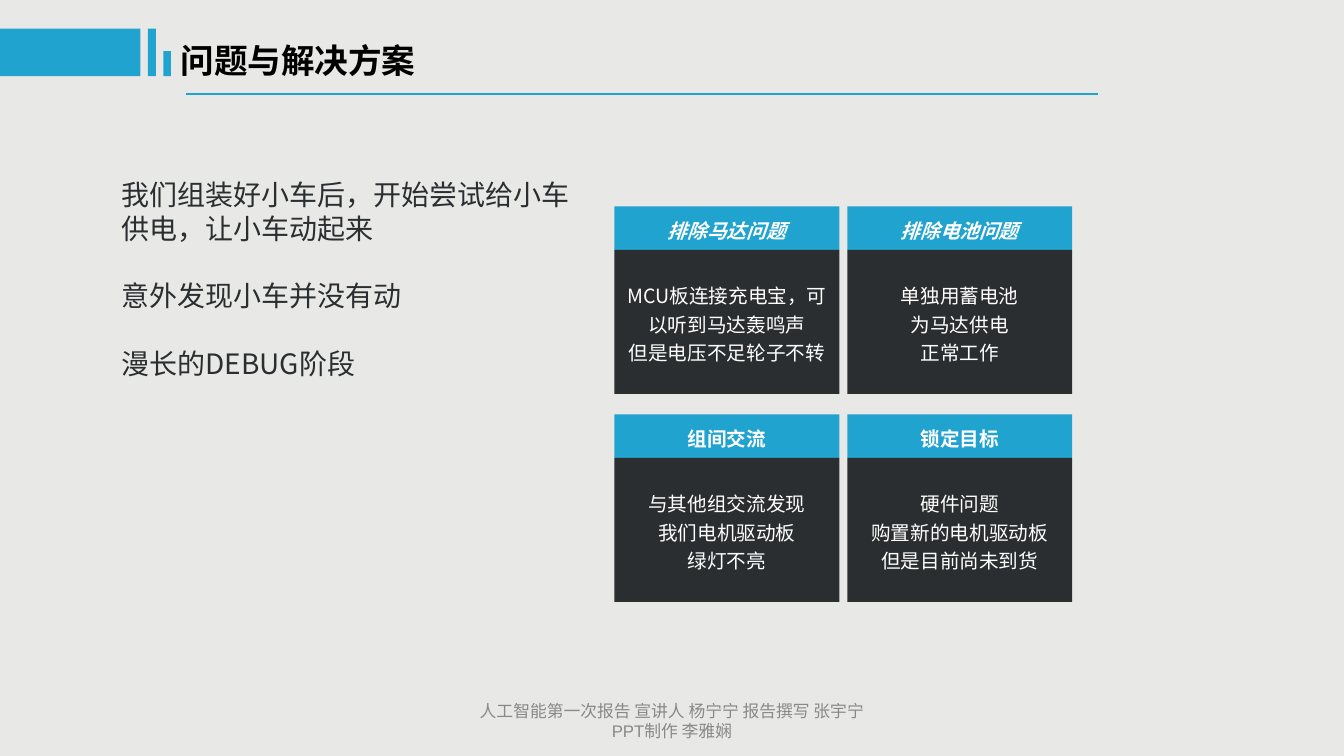
from dataclasses import dataclass

from lxml import etree
from pptx import Presentation
from pptx.dml.color import RGBColor
from pptx.enum import shapes, text
from pptx.oxml import ns
from pptx.util import Cm, Pt


@dataclass(frozen=True)
class Theme:
    background: str = "E8E8E6"
    accent: str = "21A3D0"
    dark: str = "2B2E30"
    light: str = "FFFFFF"
    black: str = "000000"
    muted: str = "898989"
    title_size: float = 24
    body_size: float = 20
    card_size: float = 14
    footer_size: float = 12
    font: str = "Noto Sans CJK SC"
    footer_font: str = "Arial"
    leading: float = 1.2
    card_leading: float = 1.44


class SlideBuilder:
    def __init__(self, deck, theme):
        self.theme = theme
        self.page = deck.slides.add_slide(deck.slide_layouts[6])
        fill = self.page.background.fill
        fill.solid()
        fill.fore_color.rgb = RGBColor.from_string(theme.background)

    def set_text(self, box, lines, size, color, font=None, bold=False, italic=False,
                 center=False, middle=False, leading=None, gap=0):
        frame = box.text_frame
        frame.word_wrap = True
        frame.vertical_anchor = text.MSO_ANCHOR.MIDDLE if middle else text.MSO_ANCHOR.TOP
        frame.text = "\n".join(lines)
        for index, paragraph in enumerate(frame.paragraphs):
            paragraph.alignment = text.PP_ALIGN.CENTER if center else text.PP_ALIGN.LEFT
            paragraph.line_spacing = Pt(size * (leading or self.theme.leading))
            paragraph.space_before = Pt(gap if index else 0)
            for span in paragraph.runs:
                span.font.size = Pt(size)
                span.font.bold = bold
                span.font.italic = italic
                span.font.color.rgb = RGBColor.from_string(color)
                span.font.name = font or self.theme.font
                east_asian = etree.SubElement(span.font._element, ns.qn("a:ea"))
                east_asian.set("typeface", self.theme.font)

    def block(self, left, top, width, height, color):
        box = self.page.shapes.add_shape(
            shapes.MSO_SHAPE.RECTANGLE, Cm(left), Cm(top), Cm(width), Cm(height))
        box.shadow.inherit = False
        box.fill.solid()
        box.fill.fore_color.rgb = RGBColor.from_string(color)
        box.line.fill.background()
        return box

    def label(self, left, top, width, height, lines, size, color, **style):
        box = self.page.shapes.add_textbox(Cm(left), Cm(top), Cm(width), Cm(height))
        self.set_text(box, lines, size, color, **style)

    def rule(self, left, right, top):
        line = self.page.shapes.add_connector(
            shapes.MSO_CONNECTOR.STRAIGHT, Cm(left), Cm(top), Cm(right), Cm(top))
        line.line.color.rgb = RGBColor.from_string(self.theme.accent)
        line.line.width = Pt(1.5)
        etree.SubElement(line._element.spPr, ns.qn("a:effectLst"))

    def card(self, left, top, heading, lines, italic):
        width, heading_height, body_height = 5.67, 1.1, 3.63
        theme = self.theme
        style = dict(center=True, middle=True, leading=theme.card_leading)
        header = self.block(left, top, width, heading_height, theme.accent)
        self.set_text(header, [heading], theme.card_size, theme.light,
                      bold=True, italic=italic, **style)
        body = self.block(left, top + heading_height, width, body_height, theme.dark)
        self.set_text(body, lines, theme.card_size, theme.light, **style)


CARDS = [
    ("排除马达问题", ["MCU板连接充电宝，可以听到马达轰鸣声", "但是电压不足轮子不转"]),
    ("排除电池问题", ["单独用蓄电池", "为马达供电", "正常工作"]),
    ("组间交流", ["与其他组交流发现", "我们电机驱动板", "绿灯不亮"]),
    ("锁定目标", ["硬件问题", "购置新的电机驱动板", "但是目前尚未到货"]),
]
TITLE_BARS = [(0, 0.72, 3.54, 1.2), (3.73, 0.72, 0.2, 1.2), (4.12, 1.29, 0.19, 0.63)]
STORY = ["我们组装好小车后，开始尝试给小车供电，让小车动起来",
         "意外发现小车并没有动", "漫长的DEBUG阶段"]
FOOTER = "人工智能第一次报告 宣讲人 杨宁宁 报告撰写 张宇宁 PPT制作 李雅娴"


def main():
    deck = Presentation()
    deck.slide_width, deck.slide_height = Cm(33.88), Cm(19.05)
    theme = Theme()
    builder = SlideBuilder(deck, theme)

    for index, (heading, lines) in enumerate(CARDS):
        row, column = divmod(index, 2)
        builder.card(15.49 + column * 5.87, 5.2 + row * 5.24, heading, lines, row == 0)

    for bar in TITLE_BARS:
        builder.block(*bar, theme.accent)
    builder.label(4.3, 0.88, 7.65, 1.27, ["问题与解决方案"],
                  theme.title_size, theme.black, bold=True)
    builder.rule(4.68, 27.69, 2.36)
    builder.label(2.81, 4.36, 12, 7.04, STORY, theme.body_size, theme.dark,
                  gap=theme.body_size * theme.leading)
    builder.label(11.58, 17.65, 10.72, 1.02, [FOOTER], theme.footer_size, theme.muted,
                  font=theme.footer_font, center=True, middle=True)
    deck.save("out.pptx")


if __name__ == "__main__":
    main()
